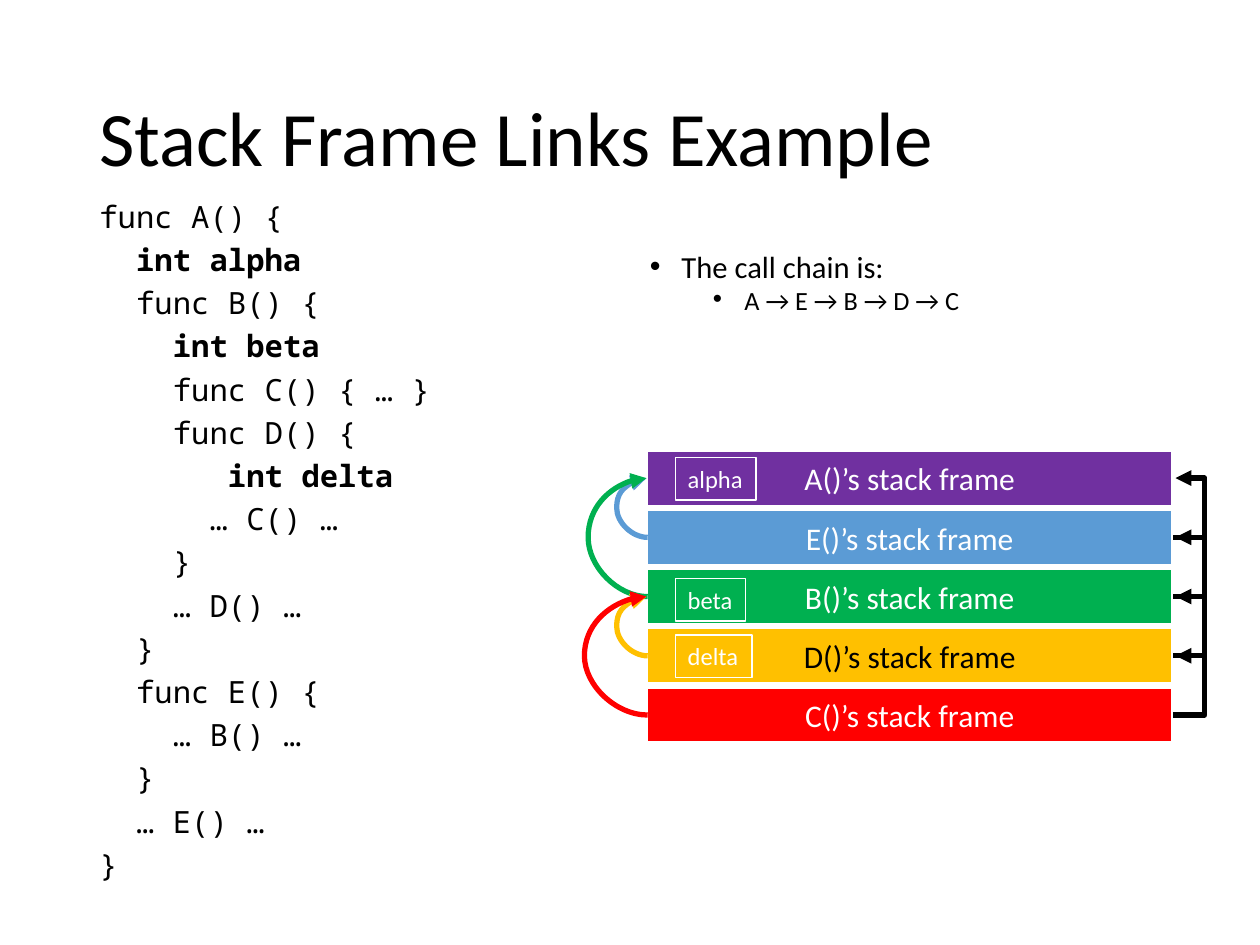
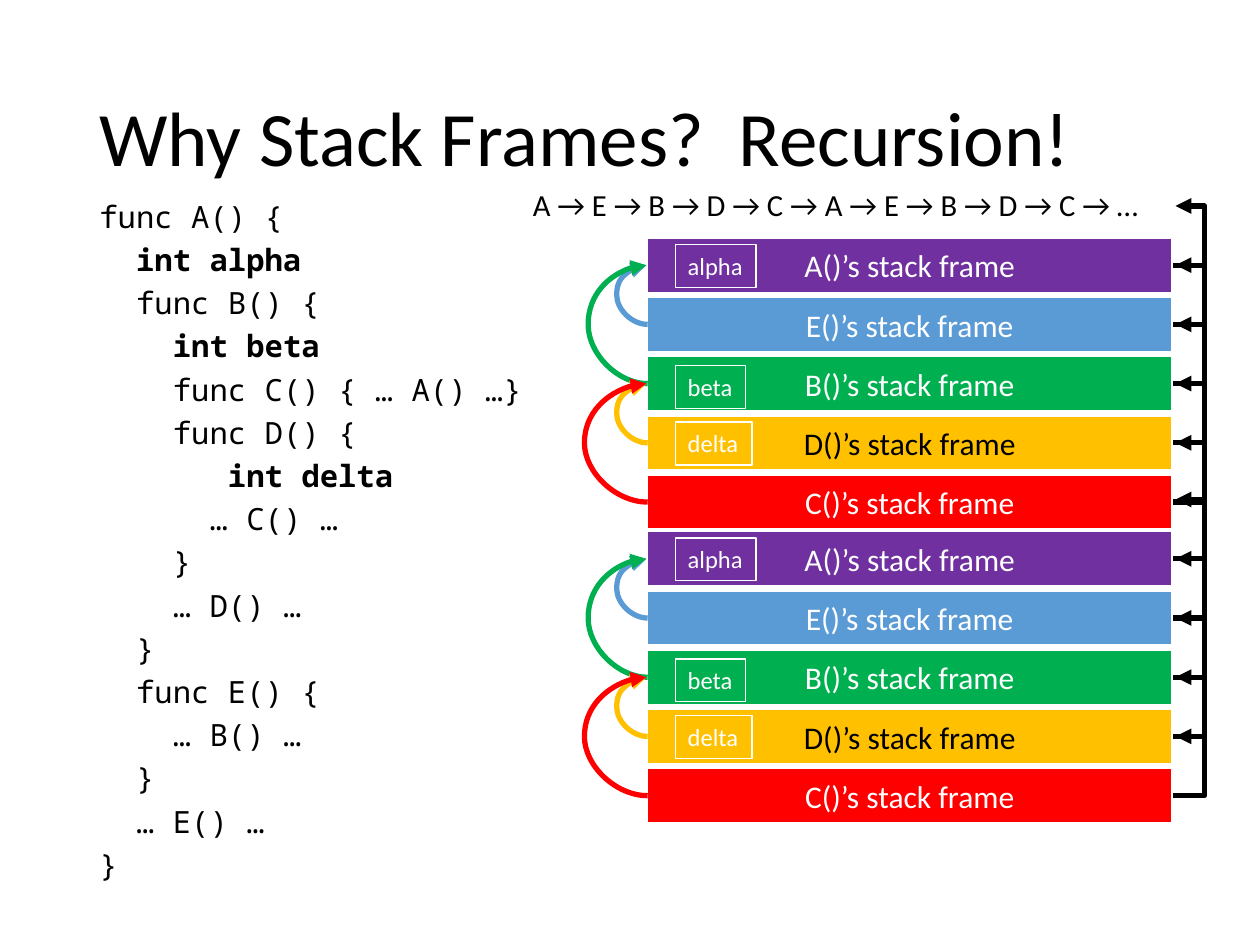
from dataclasses import dataclass

import pptx
import pptx.dml.color
import pptx.enum.shapes
import pptx.enum.text
import pptx.oxml
import pptx.oxml.ns
import pptx.util
from pptx.util import Inches

ALIGN = pptx.enum.text.PP_ALIGN
ANCHOR = pptx.enum.text.MSO_ANCHOR
CONNECTOR = pptx.enum.shapes.MSO_CONNECTOR
qn = pptx.oxml.ns.qn


@dataclass(frozen=True)
class Theme:
    text_font: str = "Calibri"
    code_font: str = "Noto Sans Mono"
    black: str = "000000"
    white: str = "FFFFFF"
    purple: str = "7030A0"
    blue: str = "5B9BD5"
    green: str = "00B050"
    yellow: str = "FFC000"
    red: str = "FF0000"
    title_size: float = 44
    body_size: float = 17.5
    sub_size: float = 15
    frame_size: float = 18
    variable_size: float = 14
    code_column: float = 10.5  # points taken by one monospaced character


THEME = Theme()

# function, fill, text colour
FRAMES = [
    ("A", THEME.purple, THEME.white),
    ("E", THEME.blue, THEME.white),
    ("B", THEME.green, THEME.white),
    ("D", THEME.yellow, THEME.black),
    ("C", THEME.red, THEME.white),
]
# frame, enclosing frame, colour, reach to the left
STATIC_LINKS = [
    (1, 0, THEME.blue, 0.25),
    (2, 0, THEME.green, 0.48),
    (3, 2, THEME.yellow, 0.25),
    (4, 2, THEME.red, 0.51),
]
# name, frame, offset from the frame top, width
VARIABLES = [
    ("beta", 2, 0.08, 0.56),
    ("delta", 3, 0.06, 0.61),
    ("alpha", 0, 0.06, 0.64),
]

FRAME_LEFT, FRAME_WIDTH, FRAME_HEIGHT, FRAME_PITCH = 5.13, 4.18, 0.45, 0.47
FRAME_RIGHT = FRAME_LEFT + FRAME_WIDTH


def code_lines(body_of_c):
    """Return (indent in characters, code) pairs."""
    return [
        (0, "func A() {"),
        (2, "int alpha"),
        (2, "func B() {"),
        (4, "int beta"),
        (4, "func C() { " + body_of_c + "}"),
        (4, "func D() {"),
        (7, "int delta"),
        (6, "… C() …"),
        (4, "}"),
        (4, "… D() …"),
        (2, "}"),
        (2, "func E() {"),
        (4, "… B() …"),
        (2, "}"),
        (2, "… E() …"),
        (0, "}"),
    ]


class Deck:
    def __init__(self, theme):
        self.theme = theme
        self.presentation = pptx.Presentation()
        self.presentation.slide_width = Inches(10)
        self.presentation.slide_height = Inches(7.5)
        self.slide = None

    def color(self, value):
        return pptx.dml.color.RGBColor.from_string(value)

    def style(self, paragraph, size, color=None, font=None, bold=False):
        for run in paragraph.runs:
            run.font.name = font or self.theme.text_font
            run.font.size = pptx.util.Pt(size)
            run.font.bold = bold
            run.font.color.rgb = self.color(color or self.theme.black)

    def space(self, paragraph, before):
        paragraph.line_spacing = 0.7
        paragraph.space_before = pptx.util.Pt(before)

    def text_box(self, left, top, width, height):
        box = self.slide.shapes.add_textbox(
            Inches(left), Inches(top), Inches(width), Inches(height))
        box.text_frame.word_wrap = True
        return box

    def add_slide(self, title):
        self.slide = self.presentation.slides.add_slide(
            self.presentation.slide_layouts[6])
        frame = self.text_box(0.69, 0.4, 8.62, 1.45).text_frame
        frame.vertical_anchor = ANCHOR.MIDDLE
        frame.text = title
        frame.paragraphs[0].line_spacing = 0.9
        self.style(frame.paragraphs[0], self.theme.title_size)

    def add_code(self, lines):
        frame = self.text_box(0.69, 1.6, 4.25, 5.77).text_frame
        frame.text = "\n".join(code for _, code in lines)
        for paragraph, (columns, code) in zip(frame.paragraphs, lines):
            self.space(paragraph, 10)
            indent = pptx.util.Pt(columns * self.theme.code_column)
            paragraph._p.get_or_add_pPr().set("marL", str(indent))
            self.style(paragraph, self.theme.body_size,
                       font=self.theme.code_font, bold=code.startswith("int "))

    def add_line_of_text(self, text, left, top, width, height):
        frame = self.text_box(left, top, width, height).text_frame
        frame.text = text
        self.space(frame.paragraphs[0], 10)
        self.style(frame.paragraphs[0], self.theme.body_size)

    def add_bullets(self, heading, detail):
        frame = self.text_box(5.06, 2, 4.25, 1.03).text_frame
        frame.text = heading + "\n" + detail
        levels = [(0.25, 10, self.theme.body_size), (0.75, 5, self.theme.sub_size)]
        for level, (paragraph, (margin, before, size)) in enumerate(
                zip(frame.paragraphs, levels)):
            paragraph.level = level
            self.space(paragraph, before)
            self.style(paragraph, size)
            properties = paragraph._p.get_or_add_pPr()
            properties.set("marL", str(Inches(margin)))
            properties.set("indent", str(Inches(-0.25)))
            properties.append(pptx.oxml.parse_xml(
                f'<a:buFont {pptx.oxml.ns.nsdecls("a")} typeface="Arial"/>'))
            properties.append(pptx.oxml.parse_xml(
                f'<a:buChar {pptx.oxml.ns.nsdecls("a")} char="•"/>'))

    def add_frame(self, function, top, fill, text_color):
        shape = self.slide.shapes.add_shape(
            pptx.enum.shapes.MSO_SHAPE.RECTANGLE, Inches(FRAME_LEFT),
            Inches(top), Inches(FRAME_WIDTH), Inches(FRAME_HEIGHT))
        shape.shadow.inherit = False
        shape.fill.solid()
        shape.fill.fore_color.rgb = self.color(fill)
        shape.line.color.rgb = self.color(self.theme.white)
        shape.line.width = pptx.util.Pt(2.25)
        shape.text_frame.text = f"{function}()’s stack frame"
        shape.text_frame.vertical_anchor = ANCHOR.MIDDLE
        paragraph = shape.text_frame.paragraphs[0]
        paragraph.alignment = ALIGN.CENTER
        self.style(paragraph, self.theme.frame_size, text_color)

    def add_variable(self, name, top, width):
        box = self.text_box(5.36, top, width, 0.34)
        box.line.color.rgb = self.color(self.theme.white)
        box.line.width = pptx.util.Pt(0.75)
        frame = box.text_frame
        frame.word_wrap = False
        frame.auto_size = pptx.enum.text.MSO_AUTO_SIZE.SHAPE_TO_FIT_TEXT
        frame.text = name
        self.style(frame.paragraphs[0], self.theme.variable_size, self.theme.white)

    def add_arrow(self, kind, start, end, reach, color):
        """Draw an arrow that swings out sideways by reach before it returns."""
        connector = self.slide.shapes.add_connector(
            kind, *(Inches(value) for value in (*start, *end)))
        connector.line.color.rgb = self.color(color)
        connector.line.width = pptx.util.Pt(3)
        properties = connector._element.spPr
        namespace = pptx.oxml.ns.nsdecls("a")
        properties.find(qn("a:ln")).append(
            pptx.oxml.parse_xml(f'<a:tailEnd {namespace} type="triangle"/>'))
        properties.append(pptx.oxml.parse_xml(f"<a:effectLst {namespace}/>"))
        ratio = round(reach / abs(end[0] - start[0]) * 100000)
        geometry = properties.find(qn("a:prstGeom"))
        for old in geometry.findall(qn("a:avLst")):
            geometry.remove(old)
        geometry.append(pptx.oxml.parse_xml(
            f'<a:avLst {namespace}><a:gd name="adj1" fmla="val {ratio}"/></a:avLst>'))
        transform = properties.find(qn("a:xfrm"))
        if transform.get("flipH") and transform.get("flipV"):
            del transform.attrib["flipH"], transform.attrib["flipV"]
            transform.set("rot", str(180 * 60000))

    def add_static_link(self, start_y, end_y, color, reach):
        self.add_arrow(CONNECTOR.CURVE, (FRAME_LEFT + 0.01, start_y),
                       (FRAME_LEFT, end_y), reach, color)

    def add_dynamic_link(self, start_y):
        self.add_arrow(CONNECTOR.ELBOW, (FRAME_RIGHT, start_y),
                       (FRAME_RIGHT + 0.02, start_y - FRAME_PITCH),
                       0.25, self.theme.black)

    def add_stack(self, top, has_caller):
        """Draw the five frames; has_caller links the first one upwards too."""
        tops = [top + FRAME_PITCH * index for index in range(len(FRAMES))]
        centers = [frame_top + FRAME_HEIGHT / 2 for frame_top in tops]
        for frame_top, (function, fill, text_color) in zip(tops, FRAMES):
            self.add_frame(function, frame_top, fill, text_color)
        for inner, outer, color, reach in STATIC_LINKS:
            self.add_static_link(centers[inner], centers[outer], color, reach)
        for center in centers if has_caller else centers[1:]:
            self.add_dynamic_link(center)
        for name, index, offset, width in VARIABLES:
            self.add_variable(name, tops[index] + offset, width)


def main():
    deck = Deck(THEME)
    chain = " → ".join(function for function, _, _ in FRAMES)

    deck.add_slide("Stack Frame Links Example")
    deck.add_code(code_lines("… "))
    deck.add_bullets("The call chain is:", chain)
    deck.add_stack(3.57, has_caller=False)

    deck.add_slide("Why Stack Frames?  Recursion!")
    deck.add_code(code_lines("… A() …"))
    deck.add_line_of_text(f"{chain} → {chain} → …", 4.13, 1.51, 5.25, 0.36)
    for top in (4.21, 1.88):
        deck.add_stack(top, has_caller=True)

    deck.presentation.save("out.pptx")


if __name__ == "__main__":
    main()
